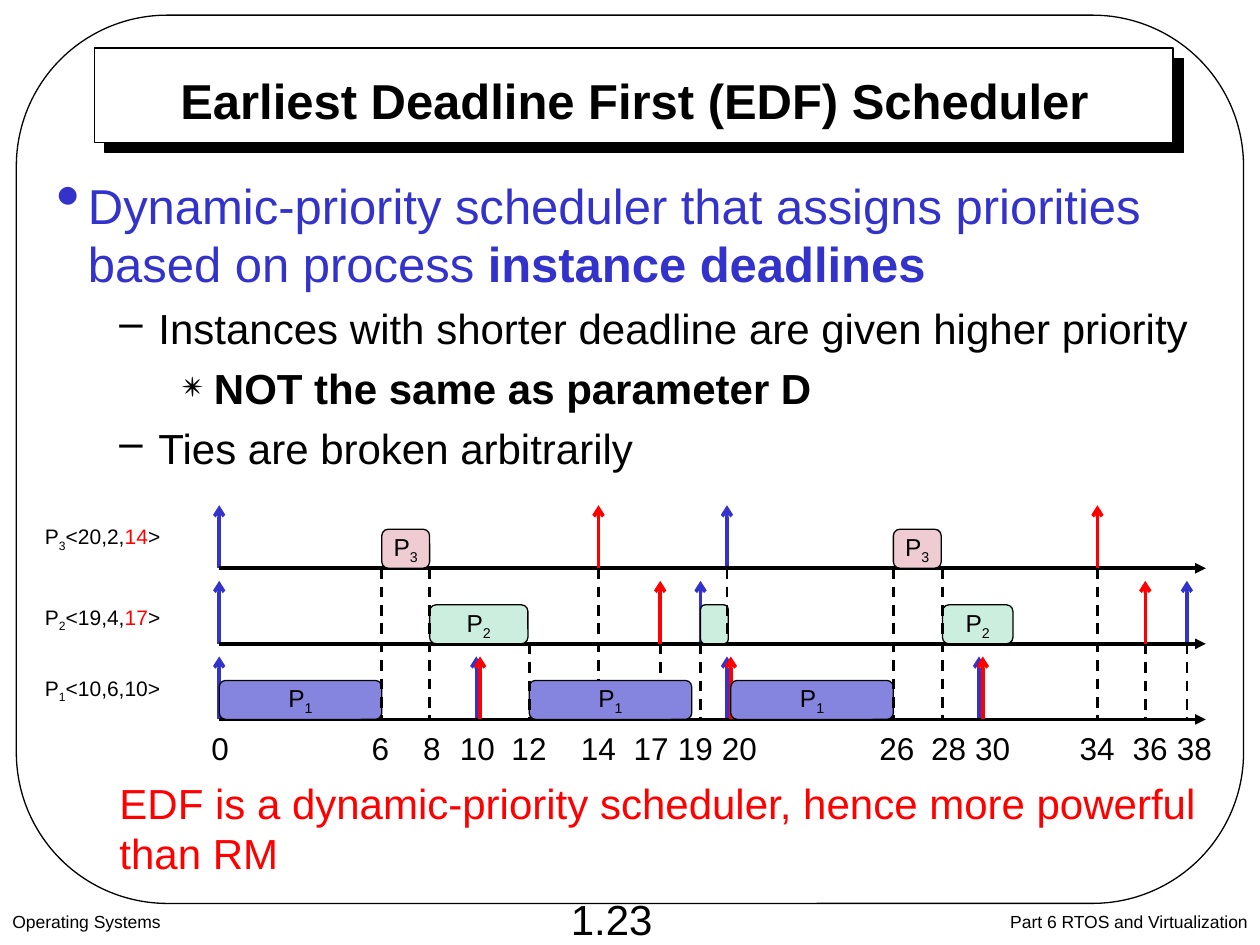
import pptx
import pptx.util
import pptx.dml.color
import pptx.enum.dml
import pptx.enum.shapes
import pptx.enum.text
import pptx.oxml
import pptx.oxml.ns
from dataclasses import dataclass
from lxml import etree

Inches, Pt = pptx.util.Inches, pptx.util.Pt
SHAPE = pptx.enum.shapes.MSO_SHAPE
ALIGN = pptx.enum.text.PP_ALIGN
ANCHOR = pptx.enum.text.MSO_ANCHOR
qn = pptx.oxml.ns.qn


@dataclass(frozen=True)
class Theme:
    font: str = "Arial"
    black: str = "000000"
    white: str = "FFFFFF"
    blue: str = "3333CC"
    red: str = "FF0000"
    p1: str = "8585E0"
    p2: str = "CCEEDF"
    p3: str = "EECCD2"
    title: int = 28
    body: int = 24
    tick: int = 18
    block: int = 14
    label: int = 12
    footer: int = 10


T = Theme()
COLUMNS = {0: 1.74, 6: 3.03, 8: 3.41, 10: 3.78, 12: 4.2, 14: 4.75, 17: 5.24, 19: 5.56,
           20: 5.77, 26: 7.09, 28: 7.48, 30: 7.77, 34: 8.71, 36: 9.09, 38: 9.42}
TICK_CENTRES = [3.02, 3.43, 3.79, 4.2, 4.75, 5.17, 5.52, 5.87,
                7.12, 7.53, 7.88, 8.71, 9.13, 9.48]
ROWS = {3: 4.51, 2: 5.11, 1: 5.71}
AXIS_END = 9.57
ARROW_HEIGHT, BLOCK_HEIGHT, TWIN_GAP = 0.5, 0.31, 0.03

RELEASES = {3: [0, 20], 2: [0, 19, 38], 1: [0, 10, 20, 30]}
DEADLINES = {3: [14, 34], 2: [17, 36], 1: [10, 20, 30]}
BACK_GUIDES = [(14, 3, 1), (17, 2, 1), (34, 3, 1)]
FRONT_GUIDES = [(6, 3, 1), (8, 3, 1), (12, 2, 1), (19, 2, 1), (20, 3, 2),
                (26, 3, 1), (28, 3, 1), (36, 2, 1), (38, 2, 1)]
BLOCKS = [(1, 0, 1.29, True), (1, 12, 1.29, True), (1, 20, 1.29, True),
          (2, 8, 0.78, True), (2, 19, 0.22, False), (2, 28, 0.56, True),
          (3, 6, 0.38, True), (3, 26, 0.38, True)]
LABELS = [(3, 4.11, "<20,2,", "14", ">"), (2, 4.75, "<19,4,", "17", ">"),
          (1, 5.31, "<10,6,10>", "", "")]
BULLETS = [
    ("•", 140, 0.25, 0.25, 0, T.title, T.blue,
     [("Dynamic-priority scheduler that assigns priorities based on process", False),
      (" instance deadlines", True)]),
    ("–", 100, 0.81, 0.31, 5.5, T.body, T.black,
     [("Instances with shorter deadline are given higher priority", False)]),
    ("✴", 85, 1.25, 0.25, 5.5, T.body, T.black, [("NOT the same as parameter D", True)]),
    ("–", 100, 0.81, 0.31, 5.5, T.body, T.black, [("Ties are broken arbitrarily", False)]),
    (None, 100, 0.5, 0, 174, T.body, T.red,
     [("EDF is a dynamic-priority scheduler, hence more powerful than RM", False)]),
]


def rgb(color):
    return pptx.dml.color.RGBColor.from_string(color)


def add_run(p, text, size, color=T.black, bold=False, subscript=False):
    r = p.add_run()
    r.text = text
    r.font.name, r.font.size, r.font.bold = T.font, Pt(size), bold
    r.font.color.rgb = rgb(color)
    if subscript:
        r.font._element.set("baseline", "-25000")


def add_text(s, box, text, size, align=ALIGN.LEFT, anchor=ANCHOR.TOP, bold=False, wrap=True):
    sp = s.shapes.add_textbox(*map(Inches, box))
    tf = sp.text_frame
    tf.word_wrap, tf.vertical_anchor = wrap, anchor
    p = tf.paragraphs[0]
    p.alignment = align
    if text:
        add_run(p, text, size, bold=bold)
    return sp


def add_box(s, kind, box, fill=None):
    sp = s.shapes.add_shape(kind, *map(Inches, box))
    sp.shadow.inherit = False
    if fill:
        sp.fill.solid()
        sp.fill.fore_color.rgb = rgb(fill)
    else:
        sp.fill.background()
    sp.line.color.rgb = rgb(T.black)
    sp.line.width = Pt(0.75)
    return sp


def add_line(s, start, end, color=T.black, width=2, dashed=False, head=None, tail=None):
    c = s.shapes.add_connector(pptx.enum.shapes.MSO_CONNECTOR.STRAIGHT,
                               *map(Inches, (*start, *end)))
    c.line.color.rgb = rgb(color)
    c.line.width = Pt(width)
    if dashed:
        c.line.dash_style = pptx.enum.dml.MSO_LINE.DASH
    ln = c.line._get_or_add_ln()
    for tag, kind in (("a:headEnd", head), ("a:tailEnd", tail)):
        if kind:
            etree.SubElement(ln, qn(tag), type=kind)
    etree.SubElement(c._element.spPr, qn("a:effectLst"))


def add_frame(s):
    title = add_box(s, SHAPE.RECTANGLE, (0.75, 0.38, 8.56, 0.75), T.white)
    effects = title._element.spPr.find(qn("a:effectLst"))
    shadow = etree.SubElement(effects, qn("a:outerShdw"), dist=str(Pt(8.5)),
                              dir="2700000", algn="ctr", rotWithShape="0")
    etree.SubElement(shadow, qn("a:srgbClr"), val=T.black)
    border = add_box(s, SHAPE.ROUNDED_RECTANGLE, (0.13, 0.12, 9.74, 7.05))
    border.adjustments[0] = 0.17
    add_text(s, (1.27, 0.54, 7.53, 0.5), "Earliest Deadline First (EDF) Scheduler",
             T.title, ALIGN.CENTER, ANCHOR.MIDDLE, bold=True)
    add_text(s, (0, 7.18, 4, 0.32), "Operating Systems", T.footer)
    add_text(s, (6.83, 7.18, 3.17, 0.32), "Part 6 RTOS and Virtualization",
             T.footer, ALIGN.RIGHT)
    add_text(s, (4.41, 7.04, 0.89, 0.5), "1.23", T.body, ALIGN.CENTER,
             ANCHOR.MIDDLE, wrap=False)


def add_bullets(s):
    tf = add_text(s, (0.35, 1.34, 9.3, 1.78), "", T.body).text_frame
    for i, (mark, scale, margin, hang, before, size, color, runs) in enumerate(BULLETS):
        p = tf.add_paragraph() if i else tf.paragraphs[0]
        pPr = p._p.get_or_add_pPr()
        pPr.set("marL", str(Inches(margin)))
        pPr.set("indent", str(-Inches(hang)))
        if before:
            p.space_before = Pt(before)
        if mark:
            etree.SubElement(pPr, qn("a:buSzPct"), val=str(scale * 1000))
            etree.SubElement(pPr, qn("a:buChar"), char=mark)
        for text, bold in runs:
            add_run(p, text, size, color, bold)


def add_guides(s, guides):
    for tick, top, bottom in guides:
        x = COLUMNS[tick]
        add_line(s, (x, ROWS[top]), (x, ROWS[bottom]), width=1.5, dashed=True)


def add_arrows(s, events, color, twin_gap=0):
    for row, ticks in events.items():
        for tick in ticks:
            x = COLUMNS[tick] + (twin_gap if row == 1 else 0)
            add_line(s, (x, ROWS[row] - ARROW_HEIGHT), (x, ROWS[row]), color, head="arrow")


def add_process(p, number, size):
    add_run(p, "P", size)
    add_run(p, str(number), size, subscript=True)


def add_block(s, row, tick, width, named):
    left = COLUMNS[tick] + (TWIN_GAP if tick == 20 else 0)
    box = (left, ROWS[row] - BLOCK_HEIGHT, width, BLOCK_HEIGHT)
    sp = add_box(s, SHAPE.ROUNDED_RECTANGLE, box, {1: T.p1, 2: T.p2, 3: T.p3}[row])
    if named:
        tf = sp.text_frame
        tf.word_wrap, tf.vertical_anchor = False, ANCHOR.MIDDLE
        p = tf.paragraphs[0]
        p.alignment = ALIGN.CENTER
        add_process(p, row, T.block)


def add_label(s, row, top, start, deadline, end):
    sp = add_text(s, (0.25, top, 1.13, 0.3), "", T.label, ALIGN.CENTER, wrap=False)
    p = sp.text_frame.paragraphs[0]
    add_process(p, row, T.label)
    for text, color in ((start, T.black), (deadline, T.red), (end, T.black)):
        if text:
            add_run(p, text, T.label, color)


def add_ticks(s):
    left, inset = 1.58, 0.1
    sp = add_text(s, (left, 5.74, 8.25, 0.4), "", T.tick)
    p = sp.text_frame.paragraphs[0]
    tabs = etree.SubElement(p._p.get_or_add_pPr(), qn("a:tabLst"))
    for centre in TICK_CENTRES:
        etree.SubElement(tabs, qn("a:tab"), pos=str(Inches(centre - left - inset)), algn="ctr")
    add_run(p, "\t".join(map(str, COLUMNS)), T.tick)


def add_timeline(s):
    add_guides(s, BACK_GUIDES)
    add_arrows(s, RELEASES, T.blue)
    for row, y in ROWS.items():
        add_line(s, (COLUMNS[0], y), (AXIS_END, y), tail="triangle")
    add_arrows(s, DEADLINES, T.red, TWIN_GAP)
    for block in BLOCKS:
        add_block(s, *block)
    add_guides(s, FRONT_GUIDES)
    for label in LABELS:
        add_label(s, *label)
    add_ticks(s)


def main():
    prs = pptx.Presentation()
    prs.slide_width, prs.slide_height = Inches(10), Inches(7.5)
    s = prs.slides.add_slide(prs.slide_layouts[6])
    add_frame(s)
    add_bullets(s)
    add_timeline(s)
    prs.save("out.pptx")


if __name__ == "__main__":
    main()
